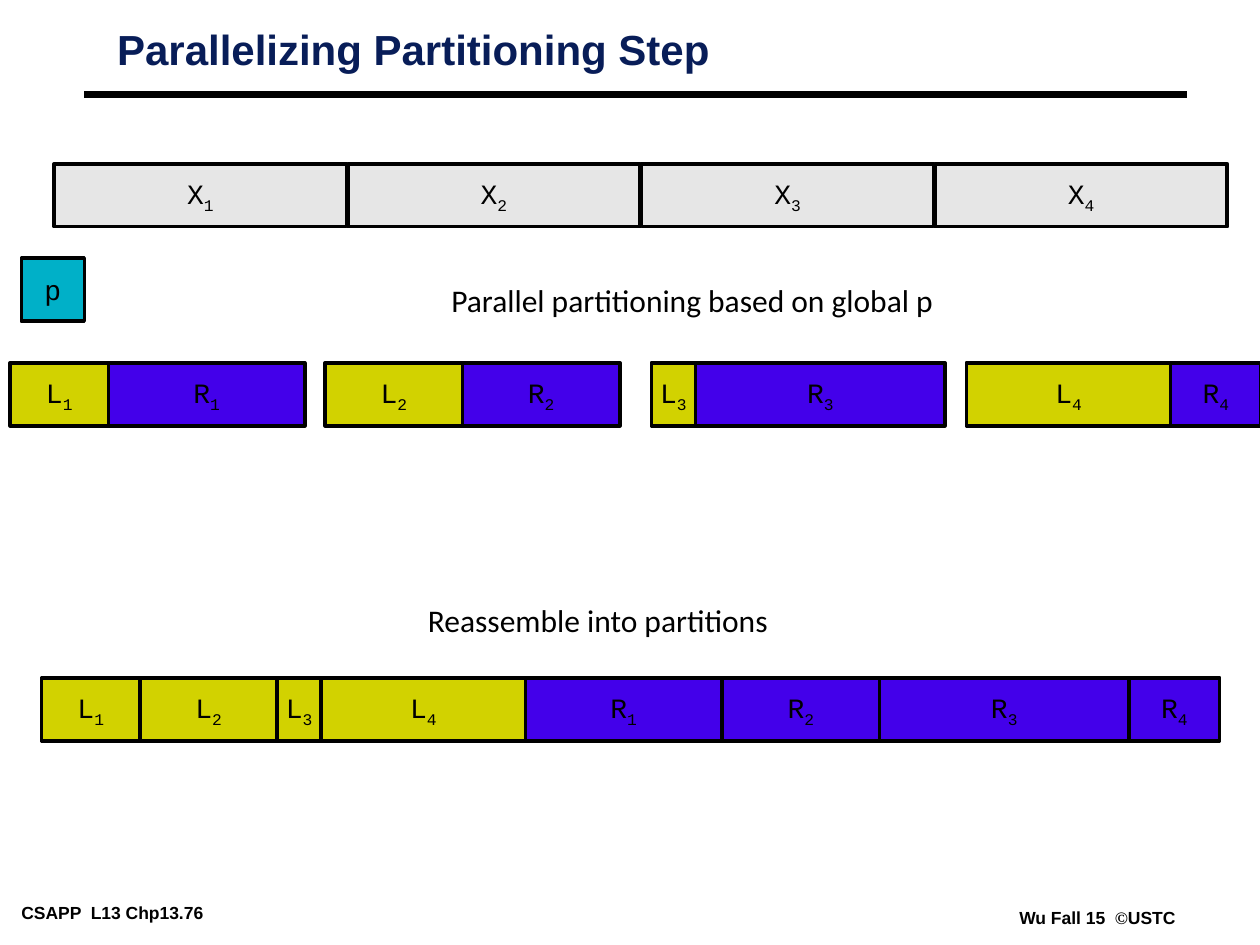
import pptx
import pptx.util
import pptx.dml.color
import pptx.enum.shapes
import pptx.enum.text
import lxml.etree

Inches = pptx.util.Inches
Pt = pptx.util.Pt
RGBColor = pptx.dml.color.RGBColor
ALIGN = pptx.enum.text.PP_ALIGN
ANCHOR = pptx.enum.text.MSO_ANCHOR

BLACK = RGBColor(0x00, 0x00, 0x00)
NAVY = RGBColor(0x08, 0x1D, 0x58)
GREY = RGBColor(0xE6, 0xE6, 0xE6)
TEAL = RGBColor(0x00, 0xB0, 0xC8)
YELLOW = RGBColor(0xD2, 0xD2, 0x00)
VIOLET = RGBColor(0x43, 0x00, 0xEA)

TITLE = "Parallelizing Partitioning Step"
FOOTERS = [
    ((0.1, 7.13, 2.1, 0.22), [("CSAPP  L13 Chp13.76", "Arial")]),
    ((8.02, 7.17, 1.38, 0.22),
     [("Wu Fall 15  ", "Arial"), ("©", "Times New Roman"), ("USTC", "Arial")]),
]
CAPTIONS = [
    ((3.48, 2.18, 4.03, 0.4), "Parallel partitioning based on global p"),
    ((3.29, 4.72, 2.91, 0.4), "Reassemble into partitions"),
]

BLOCK_HEIGHT = 0.5
INPUT_LEFT, INPUT_TOP, INPUT_WIDTH, INPUT_STEP = 0.43, 1.3, 2.32, 2.33
PIVOT_LEFT, PIVOT_TOP = 0.17, 2.05
SPLIT_TOP = 2.88
SPLIT_LEFTS = [0.08, 2.58, 5.17, 7.67]
LOWER_WIDTHS = [0.78, 1.09, 0.35, 1.62]
UPPER_WIDTHS = [1.56, 1.25, 1.98, 0.72]
RESULT_LEFT, RESULT_TOP = 0.33, 5.38


def add_text(page, place, spans, size, color, bold=False, wrap=False,
             margins=(0.07, 0.03), align=ALIGN.LEFT):
    box = page.shapes.add_textbox(*map(Inches, place))
    frame = box.text_frame
    frame.word_wrap = wrap
    frame.margin_left = frame.margin_right = Inches(margins[0])
    frame.margin_top = frame.margin_bottom = Inches(margins[1])
    para = frame.paragraphs[0]
    para.alignment = align
    for text, font in spans:
        span = para.add_run()
        span.text = text
        span.font.name = font
        span.font.size = Pt(size)
        span.font.bold = bold
        span.font.color.rgb = color
    return para


def add_block(page, left, top, width, fill, letter, index=None):
    block = page.shapes.add_shape(
        pptx.enum.shapes.MSO_SHAPE.RECTANGLE,
        Inches(left), Inches(top), Inches(width), Inches(BLOCK_HEIGHT))
    block.shadow.inherit = False
    block.fill.solid()
    block.fill.fore_color.rgb = fill
    block.line.color.rgb = BLACK
    block.line.width = Pt(2)
    frame = block.text_frame
    frame.word_wrap = False
    frame.vertical_anchor = ANCHOR.MIDDLE
    para = frame.paragraphs[0]
    para.alignment = ALIGN.CENTER
    for text in [letter] if index is None else [letter, str(index)]:
        span = para.add_run()
        span.text = text
        span.font.name = "Courier New"
        span.font.size = Pt(16)
        span.font.color.rgb = BLACK
    if index is not None:
        span.font._element.set("baseline", "-25000")


def add_title_rule(page):
    rule = page.shapes.add_connector(
        pptx.enum.shapes.MSO_CONNECTOR.STRAIGHT,
        Inches(0.67), Inches(0.75), Inches(9.42), Inches(0.75))
    rule.line.color.rgb = BLACK
    rule.line.width = Pt(4.5)
    lxml.etree.SubElement(rule._element.spPr, pptx.oxml.ns.qn("a:effectLst"))


def main():
    deck = pptx.Presentation()
    deck.slide_width, deck.slide_height = Inches(10), Inches(7.5)
    page = deck.slides.add_slide(deck.slide_layouts[6])

    for place, spans in FOOTERS:
        add_text(page, place, spans, 10, BLACK, bold=True)
    add_title_rule(page)
    title = add_text(page, (0.86, 0.21, 8.3, 0.83), [(TITLE, "Arial")],
                     24, NAVY, bold=True, wrap=True)
    title.line_spacing = 0.87

    for number in range(4):
        add_block(page, INPUT_LEFT + number * INPUT_STEP, INPUT_TOP,
                  INPUT_WIDTH, GREY, "X", number + 1)
    add_block(page, PIVOT_LEFT, PIVOT_TOP, BLOCK_HEIGHT, TEAL, "p")

    splits = zip(SPLIT_LEFTS, LOWER_WIDTHS, UPPER_WIDTHS)
    for index, (left, lower, upper) in enumerate(splits, 1):
        add_block(page, left, SPLIT_TOP, lower, YELLOW, "L", index)
        add_block(page, left + lower, SPLIT_TOP, upper, VIOLET, "R", index)

    left = RESULT_LEFT
    for letter, fill, widths in [("L", YELLOW, LOWER_WIDTHS),
                                 ("R", VIOLET, UPPER_WIDTHS)]:
        for index, width in enumerate(widths, 1):
            add_block(page, left, RESULT_TOP, width, fill, letter, index)
            left += width

    for place, text in CAPTIONS:
        add_text(page, place, [(text, "Calibri")], 18, BLACK,
                 margins=(0.1, 0.05), align=ALIGN.CENTER)

    deck.save("out.pptx")


if __name__ == "__main__":
    main()
